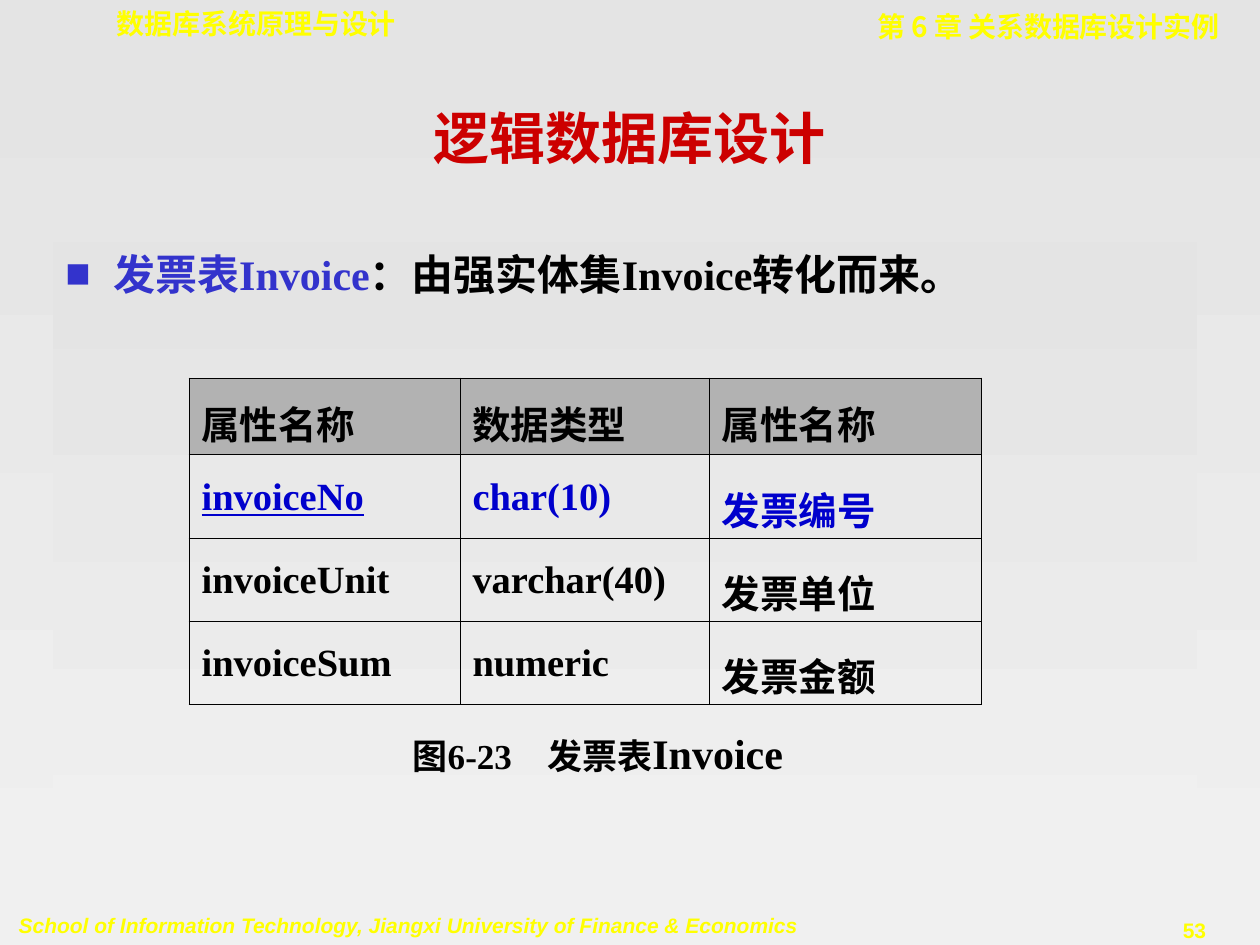
from pptx import Presentation
from pptx.dml.color import RGBColor
from pptx.enum.shapes import MSO_SHAPE
from pptx.enum.text import MSO_ANCHOR, MSO_AUTO_SIZE, PP_ALIGN
from pptx.oxml import parse_xml
from pptx.oxml.ns import nsdecls
from pptx.util import Inches, Pt

LEFT, MID, RIGHT = PP_ALIGN.LEFT, PP_ALIGN.CENTER, PP_ALIGN.RIGHT
TOP, CENTER = MSO_ANCHOR.TOP, MSO_ANCHOR.MIDDLE
GROW, FIXED = MSO_AUTO_SIZE.SHAPE_TO_FIT_TEXT, MSO_AUTO_SIZE.NONE
RECT = MSO_SHAPE.RECTANGLE
SERIF, SANS, MONO, HAN = "Times New Roman", "Arial", "DejaVu Sans Mono", "Noto Sans CJK SC"
BLACK, BLUE, NAVY, RED, YELLOW = "000000", "3333CC", "0000CC", "CC0000", "FFFF00"
SHADES = ("E4E4E4", "F0F0F0")
GRAY = "B2B2B2"


def color(code):
    """Turn a hex string into a colour."""
    return RGBColor.from_string(code)


def node(text):
    """Build a drawing element from its tag and content."""
    head, mark, rest = text.partition(">")
    slash = "/" if head.endswith("/") else ""
    return parse_xml(f"<{head.rstrip('/')} {nsdecls('a')}{slash}{mark}{rest}")


class Deck:
    """Hold the style and the current slide, measured in percent of its size."""

    base = {"name": SERIF, "size": Pt(24), "bold": True}

    def __init__(self, width, height):
        """Start a deck with one blank slide."""
        self.show = Presentation()
        self.show.slide_width, self.show.slide_height = Inches(width), Inches(height)
        self.slide = self.show.slides.add_slide(self.show.slide_layouts[6])
        self.shade(self.slide.background.fill)

    def wide(self, share):
        """Convert a share of the width."""
        return round(self.show.slide_width * share / 100)

    def high(self, share):
        """Convert a share of the height."""
        return round(self.show.slide_height * share / 100)

    def area(self, x, y, w, h):
        """Convert a box of shares."""
        return self.wide(x), self.high(y), self.wide(w), self.high(h)

    def shade(self, fill):
        """Apply the vertical gradient."""
        fill.gradient()
        fill.gradient_angle = 270
        for stop, code in zip(fill.gradient_stops, SHADES):
            stop.color.rgb = color(code)

    def put(self, frame, runs, align=LEFT, line=None):
        """Fill one paragraph with (text, colour, format) runs."""
        para = frame.paragraphs[0]
        para.alignment, para.line_spacing = align, line
        for text, code, form in runs:
            run = para.add_run()
            run.text = text
            for key, value in {**self.base, **form}.items():
                setattr(run.font, key, value)
            run.font.color.rgb = color(code)
            props = run._r.get_or_add_rPr()
            props.find("{*}latin").addnext(node(f'a:ea typeface="{HAN}"/>'))
        return para

    def text(self, box, runs, align=LEFT, anchor=TOP, wrap=True, size=FIXED):
        """Add a text box."""
        frame = self.slide.shapes.add_textbox(*self.area(*box)).text_frame
        form = {"word_wrap": wrap, "auto_size": size, "vertical_anchor": anchor}
        for key, value in form.items():
            setattr(frame, key, value)
        self.put(frame, runs, align)

    def panel(self, box, runs, mark, code):
        """Add a shaded panel with a bulleted line."""
        shape = self.slide.shapes.add_shape(RECT, *self.area(*box))
        shape.shadow.inherit = False
        shape.line.fill.background()
        self.shade(shape.fill)
        shape.text_frame.vertical_anchor = TOP
        props = self.put(shape.text_frame, runs)._p.get_or_add_pPr()
        indent = Inches(0.38)
        props.set("marL", str(indent))
        props.set("indent", str(-indent))
        for item in (f'a:buClr><a:srgbClr val="{code}"/></a:buClr>',
                     f'a:buFont typeface="{SANS}"/>', f'a:buChar char="{mark}"/>'):
            props.append(node(item))

    def table(self, x, y, cols, rows, data):
        """Add a ruled table with a gray head and a blue key row."""
        box = self.area(x, y, sum(cols), sum(rows))
        grid = self.slide.shapes.add_table(len(rows), len(cols), *box).table
        grid.horz_banding = grid.first_row = False
        for col, share in zip(grid.columns, cols):
            col.width = self.wide(share)
        for r, (row, share) in enumerate(zip(grid.rows, rows)):
            row.height = self.high(share)
            for c, cell in enumerate(row.cells):
                self.rule(cell)
                if r == 0:
                    cell.fill.solid()
                    cell.fill.fore_color.rgb = color(GRAY)
                else:
                    cell.fill.background()
                form = {"size": Pt(22), "underline": (r, c) == (1, 0)}
                run = (data[r][c], NAVY if r == 1 else BLACK, form)
                self.put(cell.text_frame, [run], line=1.35 if r else 1.2)

    def rule(self, cell):
        """Draw the four borders of a cell."""
        props = cell._tc.get_or_add_tcPr()
        for side in "LRTB":
            props.append(node(f'a:ln{side} w="{Pt(0.45)}"><a:solidFill>'
                              f'<a:srgbClr val="{BLACK}"/></a:solidFill></a:ln{side}>'))


def main():
    """Build the slide."""
    deck = Deck(10, 7.5)
    small = {"name": SANS, "size": Pt(12)}
    deck.text((89.8, 96.4, 10, 4), [("53", YELLOW, small)], MID, wrap=False, size=GROW)
    school = "School of Information Technology, Jiangxi University of Finance & Economics"
    deck.text((0.5, 95.87, 64, 4), [(school, YELLOW, {**small, "italic": True})],
              wrap=False, size=GROW)
    deck.text((8.3, 0, 36.6, 4.93),
              [("数据库系统原理与设计", YELLOW, {"name": MONO, "size": Pt(16)})])
    deck.text((54.3, 0.4, 43.5, 4.93),
              [("第 6 章 关系数据库设计实例", YELLOW, {"name": HAN, "size": Pt(16)})], RIGHT)
    deck.text((7.5, 10, 85, 8.93),
              [("逻辑数据库设计", RED, {"size": Pt(32)})], MID, CENTER)
    deck.panel((4.2, 25.6, 90.8, 67.73),
               [("发票表Invoice", BLUE, {}), ("：由强实体集Invoice转化而来。", BLACK, {})],
               "■", BLUE)
    deck.table(15, 40, (21.5, 19.8, 21.6), (8.13, 8.8, 8.8, 8.8), (
        ("属性名称", "数据类型", "属性名称"),
        ("invoiceNo", "char(10)", "发票编号"),
        ("invoiceUnit", "varchar(40)", "发票单位"),
        ("invoiceSum", "numeric", "发票金额"),
    ))
    deck.text((28.3, 76.27, 38.3, 6.67),
              [("图6-23　发票表", BLACK, {"size": Pt(20)}), ("Invoice", BLACK, {})],
              MID, CENTER)
    deck.show.save("out.pptx")


if __name__ == "__main__":
    main()
